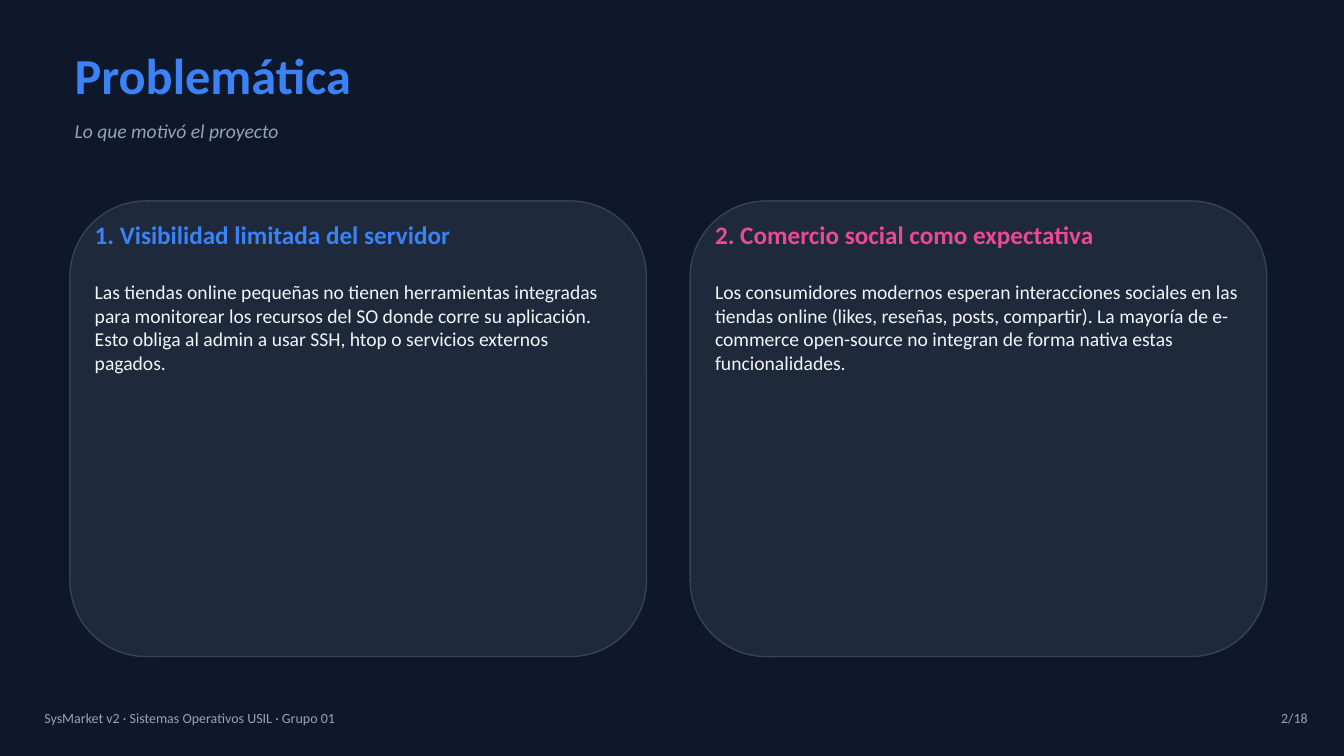
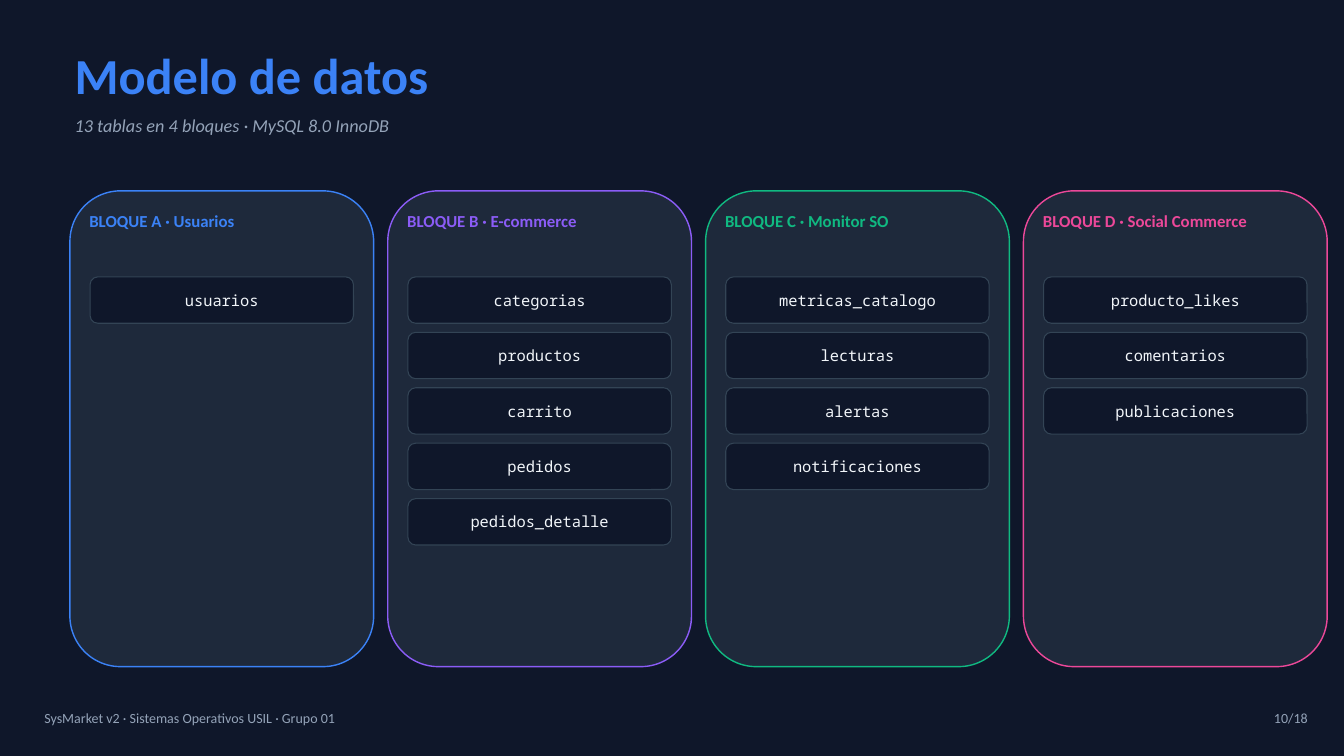
"""Builds two slides on the problem and the data model of SysMarket v2."""
from pptx import Presentation
from pptx.dml.color import RGBColor
from pptx.enum.shapes import MSO_SHAPE
from pptx.enum.text import MSO_ANCHOR, MSO_AUTO_SIZE, PP_ALIGN
from pptx.util import Inches, Pt

NAVY = RGBColor(0x0F, 0x17, 0x2A)
SLATE = RGBColor(0x1E, 0x29, 0x3B)
BORDER = RGBColor(0x33, 0x44, 0x55)
GREY = RGBColor(0x94, 0xA3, 0xB8)
WHITE = RGBColor(0xF1, 0xF5, 0xF9)
BLUE = RGBColor(0x3B, 0x82, 0xF6)
PURPLE = RGBColor(0x8B, 0x5C, 0xF6)
GREEN = RGBColor(0x10, 0xB9, 0x81)
PINK = RGBColor(0xEC, 0x48, 0x99)

ROUNDED = MSO_SHAPE.ROUNDED_RECTANGLE
TOP, MIDDLE = MSO_ANCHOR.TOP, MSO_ANCHOR.MIDDLE
LEFT, CENTER, RIGHT = PP_ALIGN.LEFT, PP_ALIGN.CENTER, PP_ALIGN.RIGHT
NO_AUTOFIT = MSO_AUTO_SIZE.NONE
SANS, MONO = "Calibri", "Noto Sans Mono"
FOOTER = "SysMarket v2 · Sistemas Operativos USIL · Grupo 01"


def write(shape, text, size, color, bold=False, italic=False, align=LEFT,
          font_name=SANS, anchor=TOP, inset=0):
    frame = shape.text_frame
    frame.word_wrap = True
    frame.auto_size = NO_AUTOFIT
    frame.vertical_anchor = anchor
    frame.margin_left = frame.margin_right = Inches(inset)
    frame.margin_top = frame.margin_bottom = Inches(inset)
    frame.text = text
    paragraph = frame.paragraphs[0]
    paragraph.alignment = align
    paragraph.line_spacing = Pt(size * 1.2)
    font = paragraph.font
    font.name, font.size, font.color.rgb = font_name, Pt(size), color
    font.bold, font.italic = bold, italic


def add_card(slide, left, top, width, height, fill, border, border_width):
    card = slide.shapes.add_shape(ROUNDED, Inches(left), Inches(top), Inches(width), Inches(height))
    card.shadow.inherit = False
    card.fill.solid()
    card.fill.fore_color.rgb = fill
    card.line.color.rgb = border
    card.line.width = Pt(border_width)
    return card


prs = Presentation()
prs.slide_width, prs.slide_height = Inches(20), Inches(11.25)
backdrop = prs.slide_master.background.fill
backdrop.solid()
backdrop.fore_color.rgb = NAVY
title_only = prs.slide_layouts[5]

headers = [
    ("Problemática", "Lo que motivó el proyecto", 1.77, 21, "2/18"),
    ("Modelo de datos", "13 tablas en 4 bloques · MySQL 8.0 InnoDB", 1.7, 19.5, "10/18"),
]
for heading, tagline, tagline_top, tagline_size, page in headers:
    slide = prs.slides.add_slide(title_only)
    title = slide.shapes.title
    title.left, title.top = Inches(1.11), Inches(0.65)
    title.width, title.height = Inches(17.9), Inches(0.98)
    write(title, heading, 54, BLUE, bold=True)
    subtitle = slide.shapes.add_textbox(Inches(1.11), Inches(tagline_top), Inches(17.9), Inches(0.61))
    write(subtitle, tagline, tagline_size, GREY, italic=True)
    for left, width, text, align in [(0.66, 11.9, FOOTER, LEFT), (18.07, 1.39, page, RIGHT)]:
        footer = slide.shapes.add_textbox(Inches(left), Inches(10.56), Inches(width), Inches(0.6))
        write(footer, text, 15, GREY, align=align)

problem_slide, model_slide = prs.slides

problems = [
    ("1. Visibilidad limitada del servidor", BLUE,
     "Las tiendas online pequeñas no tienen herramientas integradas para monitorear los "
     "recursos del SO donde corre su aplicación. Esto obliga al admin a usar SSH, htop o "
     "servicios externos pagados."),
    ("2. Comercio social como expectativa", PINK,
     "Los consumidores modernos esperan interacciones sociales en las tiendas online (likes, "
     "reseñas, posts, compartir). La mayoría de e-commerce open-source no integran de forma "
     "nativa estas funcionalidades."),
]
for column, (heading, accent, explanation) in enumerate(problems):
    left = 1.04 + column * 9.23
    add_card(problem_slide, left, 2.99, 8.58, 6.78, SLATE, BORDER, 1.5)
    text_left = Inches(left + 0.37)
    problem_heading = problem_slide.shapes.add_textbox(text_left, Inches(3.26), Inches(7.85), Inches(0.77))
    write(problem_heading, heading, 27, accent, bold=True)
    problem_body = problem_slide.shapes.add_textbox(text_left, Inches(4.17), Inches(7.85), Inches(5.26))
    write(problem_body, explanation, 21, WHITE)

blocks = [
    ("BLOQUE A · Usuarios", BLUE, ["usuarios"]),
    ("BLOQUE B · E-commerce", PURPLE,
     ["categorias", "productos", "carrito", "pedidos", "pedidos_detalle"]),
    ("BLOQUE C · Monitor SO", GREEN,
     ["metricas_catalogo", "lecturas", "alertas", "notificaciones"]),
    ("BLOQUE D · Social Commerce", PINK, ["producto_likes", "comentarios", "publicaciones"]),
]
for column, (heading, accent, table_names) in enumerate(blocks):
    left = 1.04 + column * 4.73
    add_card(model_slide, left, 2.84, 4.52, 7.08, SLATE, accent, 1.5)
    block_heading = model_slide.shapes.add_textbox(
        Inches(left + 0.29), Inches(3.13), Inches(3.94), Inches(0.75))
    write(block_heading, heading, 18, accent, bold=True)
    for row, table_name in enumerate(table_names):
        entity = add_card(model_slide, left + 0.3, 4.12 + row * 0.825, 3.92, 0.69, NAVY, BORDER, 1.13)
        write(entity, table_name, 16.5, WHITE, align=CENTER, font_name=MONO, anchor=MIDDLE, inset=0.06)

prs.save("out.pptx")
